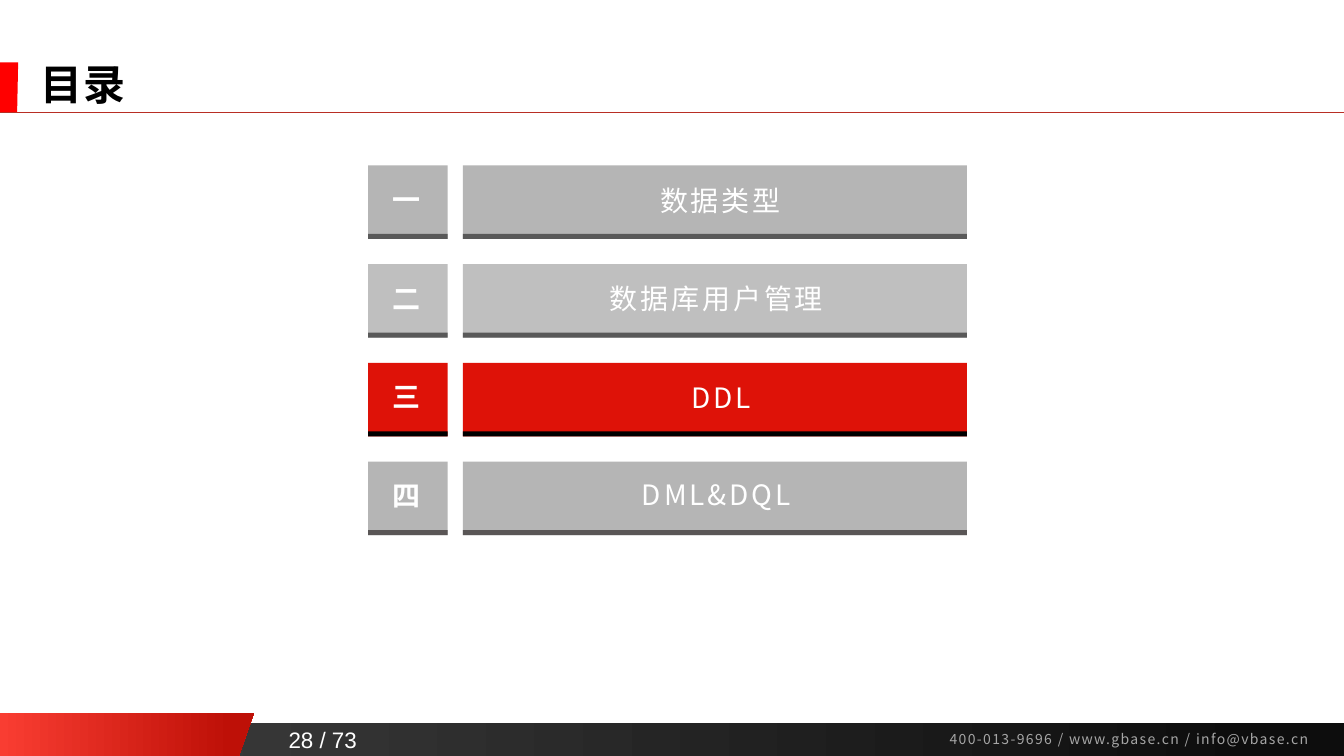
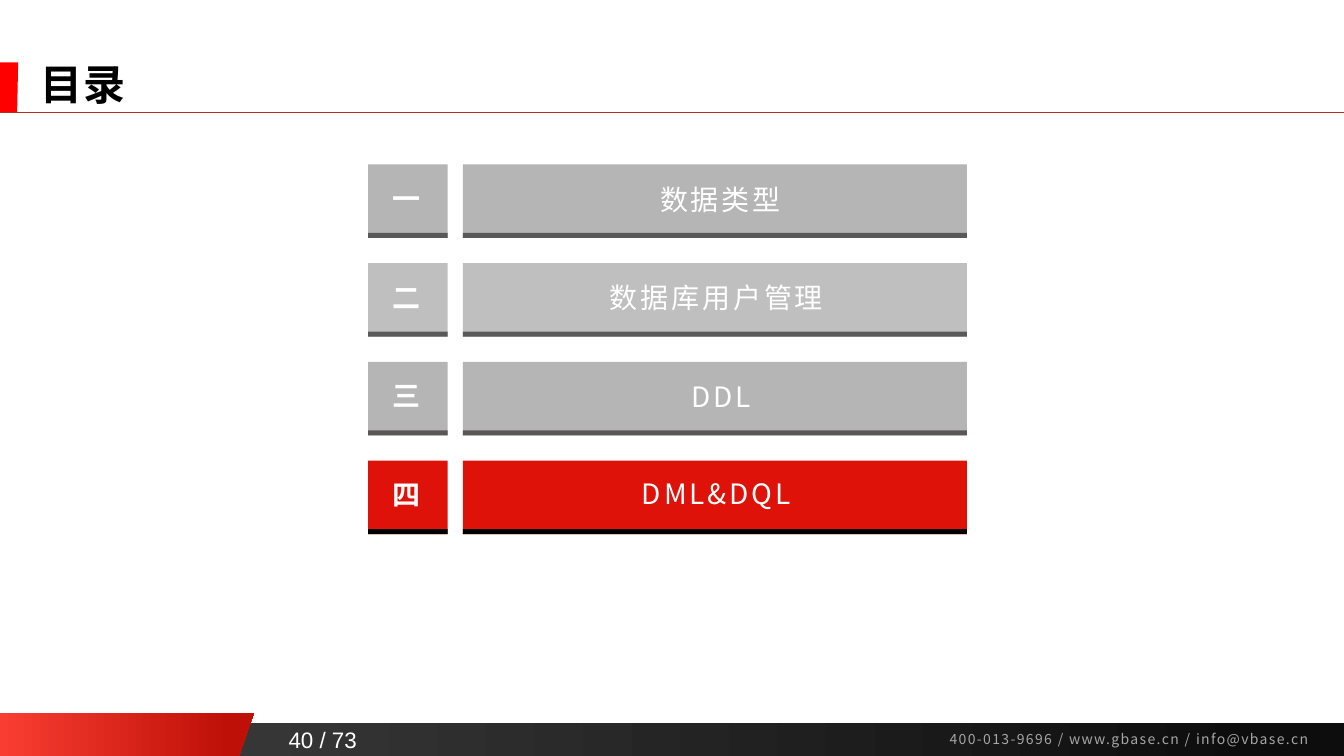
import pptx
import pptx.util
import pptx.dml.color
import pptx.enum.shapes
import pptx.enum.text
import pptx.oxml.ns
import lxml.etree
from dataclasses import dataclass

Inches = pptx.util.Inches
Align = pptx.enum.text.PP_ALIGN
Anchor = pptx.enum.text.MSO_ANCHOR
AutoSize = pptx.enum.text.MSO_AUTO_SIZE

TITLE = "目录"
CONTACT = "400-013-9696 / www.gbase.cn / info@vbase.cn"
PAGE_COUNT = 73
CHAPTERS = [
    {"numeral": "一", "name": "数据类型", "tint": "idle", "edge": "idle_edge",
     "nudge": 0.04, "drop": 0.13},
    {"numeral": "二", "name": "数据库用户管理", "tint": "idle_light", "edge": "idle_edge",
     "nudge": 0, "drop": 0.12},
    {"numeral": "三", "name": "DDL", "tint": "idle", "edge": "idle_edge_warm",
     "nudge": 0.05, "drop": 0.13},
    {"numeral": "四", "name": "DML&DQL", "tint": "idle", "edge": "idle_edge_warm",
     "nudge": 0, "drop": 0.11},
]
AGENDAS = [
    {"page": 28, "current": "三", "top": 1.64},
    {"page": 40, "current": "四", "top": 1.63},
]


@dataclass(frozen=True)
class Theme:
    width: float = 13.33
    height: float = 7.5
    font: str = "Noto Sans CJK SC"
    number_font: str = "Arial"
    title_size: int = 30
    chapter_size: int = 20
    page_size: int = 16
    contact_size: int = 10
    white: str = "FFFFFF"
    black: str = "000000"
    contact: str = "A6A6A6"
    marker: str = "FF0000"
    rule: str = "B82E24"
    band: tuple = (("404040", 0), ("0D0D0D", 0.94))
    corner: tuple = (("F93D32", 0), ("BE1007", 0.91))
    current: str = "DE1208"
    current_edge: str = "000000"
    idle: str = "B5B5B5"
    idle_light: str = "BFBFBF"
    idle_edge: str = "595959"
    idle_edge_warm: str = "5A5656"


THEME = Theme()
COLUMNS = {"numeral": (3.65, 0.79), "name": (4.59, 5)}
ROW_PITCH, TILE_HEIGHT, EDGE_HEIGHT = 0.98, 0.73, 0.05
TEXT_HEIGHT, NUMERAL_DROP = 0.44, 0.12
BAND_HEIGHT = 0.33


def rgb(colour):
    return pptx.dml.color.RGBColor.from_string(colour)


def paint(shape, colour):
    shape.shadow.inherit = False
    shape.line.fill.background()
    if isinstance(colour, str):
        shape.fill.solid()
        shape.fill.fore_color.rgb = rgb(colour)
        return
    shape.fill.gradient()
    shape.fill.gradient_angle = 0
    for stop, (tone, position) in zip(shape.fill.gradient_stops, colour):
        stop.color.rgb = rgb(tone)
        stop.position = position


def add_block(slide, left, top, width, height, colour):
    block = slide.shapes.add_shape(
        pptx.enum.shapes.MSO_SHAPE.RECTANGLE,
        Inches(left), Inches(top), Inches(width), Inches(height))
    paint(block, colour)


def add_outline(slide, corners, colour):
    points = [(Inches(x), Inches(y)) for x, y in corners]
    builder = slide.shapes.build_freeform(*points[0])
    builder.add_line_segments(points[1:], close=True)
    paint(builder.convert_to_shape(), colour)


def add_run(paragraph, text, size, colour, font=THEME.font, bold=False, spacing=0):
    run = paragraph.add_run()
    run.text = text
    run.font.size = pptx.util.Pt(size)
    run.font.bold = bold
    run.font.color.rgb = rgb(colour)
    run.font.name = font
    properties = run.font._element
    east_asian = lxml.etree.SubElement(properties, pptx.oxml.ns.qn("a:ea"))
    east_asian.set("typeface", font)
    if spacing:
        properties.set("spc", str(spacing * 100))


def add_label(slide, left, top, width, height, text, size, colour,
              align=Align.LEFT, anchor=Anchor.TOP, wrap=True, **style):
    frame = slide.shapes.add_textbox(
        Inches(left), Inches(top), Inches(width), Inches(height)).text_frame
    frame.word_wrap = wrap
    frame.auto_size = AutoSize.SHAPE_TO_FIT_TEXT
    frame.vertical_anchor = anchor
    frame.paragraphs[0].alignment = align
    add_run(frame.paragraphs[0], text, size, colour, **style)


def add_title(slide):
    title = slide.shapes.title
    title.left, title.top = Inches(0.3), Inches(0.6)
    title.width, title.height = Inches(12.26), Inches(0.53)
    frame = title.text_frame
    frame.auto_size = AutoSize.NONE
    frame.vertical_anchor = Anchor.MIDDLE
    heading = frame.paragraphs[0]
    heading.alignment = Align.LEFT
    heading.line_spacing = 0.9
    add_run(heading, TITLE, THEME.title_size, THEME.black, bold=True, spacing=1)


def add_frame(slide, page):
    bottom = THEME.height
    add_block(slide, 0, bottom - BAND_HEIGHT, THEME.width, BAND_HEIGHT, THEME.band)
    add_outline(slide, [(0, 7.07), (2.52, 7.07), (2.37, bottom), (0, bottom)], THEME.corner)
    add_outline(slide, [(0, 0.62), (0.18, 0.62), (0.17, 1.12), (0, 1.12)], THEME.marker)
    add_label(slide, 2.74, 7.15, 0.92, 0.37, f"{page} / {PAGE_COUNT}",
              THEME.page_size, THEME.white, align=Align.CENTER,
              anchor=Anchor.BOTTOM, wrap=False, font=THEME.number_font)
    add_label(slide, 9.32, 7.2, 3.99, 0.27, CONTACT,
              THEME.contact_size, THEME.contact, spacing=1)
    rule = slide.shapes.add_connector(
        pptx.enum.shapes.MSO_CONNECTOR.STRAIGHT,
        0, Inches(1.11), Inches(THEME.width), Inches(1.11))
    rule.line.color.rgb = rgb(THEME.rule)
    rule.line.width = pptx.util.Pt(0.5)
    lxml.etree.SubElement(rule._element.spPr, pptx.oxml.ns.qn("a:effectLst"))


def add_chapter(slide, chapter, top, is_current):
    tint = THEME.current if is_current else getattr(THEME, chapter["tint"])
    edge = THEME.current_edge if is_current else getattr(THEME, chapter["edge"])
    for left, width in COLUMNS.values():
        add_block(slide, left, top, width, TILE_HEIGHT, tint)
        add_block(slide, left, top + TILE_HEIGHT - EDGE_HEIGHT, width, EDGE_HEIGHT, edge)
    add_label(slide, 3.79, top + NUMERAL_DROP, 0.48, TEXT_HEIGHT, chapter["numeral"],
              THEME.chapter_size, THEME.white, wrap=False, bold=True)
    add_label(slide, 4.79 + chapter["nudge"], top + chapter["drop"], 4.63, TEXT_HEIGHT,
              chapter["name"], THEME.chapter_size, THEME.white,
              align=Align.CENTER, spacing=2)


def main():
    deck = pptx.Presentation()
    deck.slide_width = Inches(THEME.width)
    deck.slide_height = Inches(THEME.height)
    title_only = deck.slide_layouts[5]
    for agenda in AGENDAS:
        slide = deck.slides.add_slide(title_only)
        add_frame(slide, agenda["page"])
        add_title(slide)
        for row, chapter in enumerate(CHAPTERS):
            add_chapter(slide, chapter, agenda["top"] + row * ROW_PITCH,
                        chapter["numeral"] == agenda["current"])
    deck.save("out.pptx")


if __name__ == "__main__":
    main()
